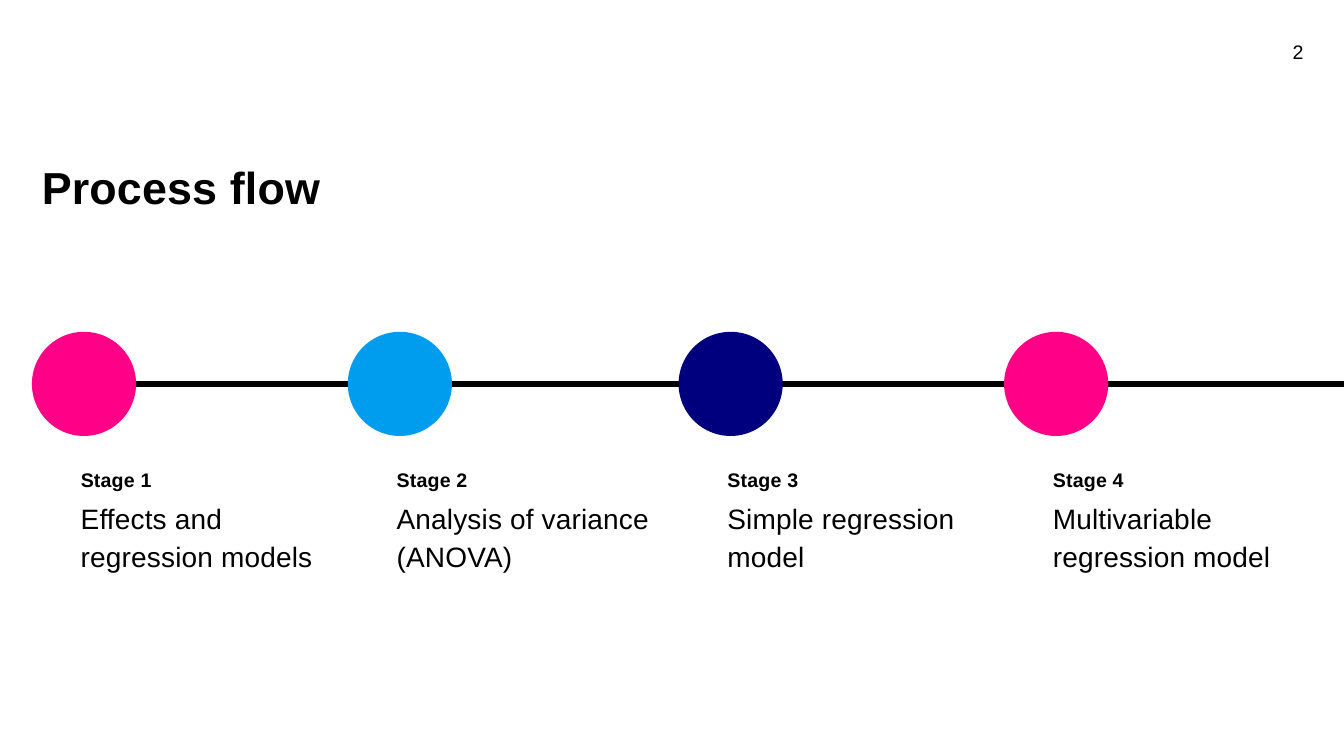
from dataclasses import dataclass

from pptx import Presentation
from pptx import util as u
from pptx.dml.color import RGBColor
from pptx.enum import shapes, text
from pptx.oxml.ns import qn


@dataclass(frozen=True)
class Theme:
    """Colours and type sizes of the slide."""
    font: str = "Arial"
    ink: str = "000000"
    pink: str = "FF0087"
    blue: str = "009CEE"
    navy: str = "00007E"
    title: int = 32
    label: int = 14
    body: int = 20
    rule: float = 4.5


THEME = Theme()
WIDTH, HEIGHT = 960, 540
LINE_Y = 274.2
CIRCLE = 74.4
LABEL_SHIFT = 27.8
STAGES = [
    (22.8, THEME.pink, "Stage 1", "Effects and regression models", 186),
    (248.4, THEME.blue, "Stage 2", "Analysis of variance (ANOVA)", 204),
    (484.7, THEME.navy, "Stage 3", "Simple regression model", 186),
    (717.2, THEME.pink, "Stage 4", "Multivariable regression model", 186),
]


def add_text(page, words, left, top, width, height, size, bold=False,
             leading=1.13, tracking=10, align=text.PP_ALIGN.LEFT,
             anchor=text.MSO_ANCHOR.TOP):
    """Add a wrapped text box holding one paragraph."""
    box = page.shapes.add_textbox(u.Pt(left), u.Pt(top), u.Pt(width), u.Pt(height))
    frame = box.text_frame
    frame.word_wrap = True
    frame.vertical_anchor = anchor
    para = frame.paragraphs[0]
    para.alignment = align
    para.line_spacing = leading
    para.font.name = THEME.font
    para.font.size = u.Pt(size)
    para.font.bold = bold
    para.font.color.rgb = RGBColor.from_string(THEME.ink)
    span = para.add_run()
    span.text = words
    if tracking:
        span.font._element.set("spc", str(tracking))


def add_timeline(page, start, end):
    """Draw the horizontal line behind the stages."""
    line = page.shapes.add_connector(
        shapes.MSO_CONNECTOR.STRAIGHT,
        u.Pt(start), u.Pt(LINE_Y), u.Pt(end), u.Pt(LINE_Y))
    line.line.color.rgb = RGBColor.from_string(THEME.ink)
    line.line.width = u.Pt(THEME.rule)
    properties = line._element.spPr
    properties.append(properties.makeelement(qn("a:effectLst"), {}))


def add_stage(page, left, colour, label, description, width):
    """Draw a stage circle with its label and description."""
    circle = page.shapes.add_shape(
        shapes.MSO_SHAPE.OVAL, u.Pt(left), u.Pt(LINE_Y - CIRCLE / 2),
        u.Pt(CIRCLE), u.Pt(CIRCLE))
    circle.shadow.inherit = False
    circle.fill.solid()
    circle.fill.fore_color.rgb = RGBColor.from_string(colour)
    circle.line.fill.background()
    text_left = left + LABEL_SHIFT
    add_text(page, label, text_left, 328.5, 120, 22, THEME.label, bold=True)
    add_text(page, description, text_left, 351.5, width, 146, THEME.body)


def main():
    """Build the process flow slide."""
    deck = Presentation()
    deck.slide_width, deck.slide_height = u.Pt(WIDTH), u.Pt(HEIGHT)
    page = deck.slides.add_slide(deck.slide_layouts[6])
    add_timeline(page, STAGES[0][0] + CIRCLE / 2, WIDTH)
    add_text(page, "Process flow", 22.8, 106.6, 536, 74, THEME.title,
             bold=True, leading=1.1)
    add_text(page, "2", 891.4, 21.6, 46.8, 28.8, THEME.label, leading=1.12,
             tracking=0, align=text.PP_ALIGN.RIGHT,
             anchor=text.MSO_ANCHOR.MIDDLE)
    for stage in STAGES:
        add_stage(page, *stage)
    deck.save("out.pptx")


if __name__ == "__main__":
    main()
